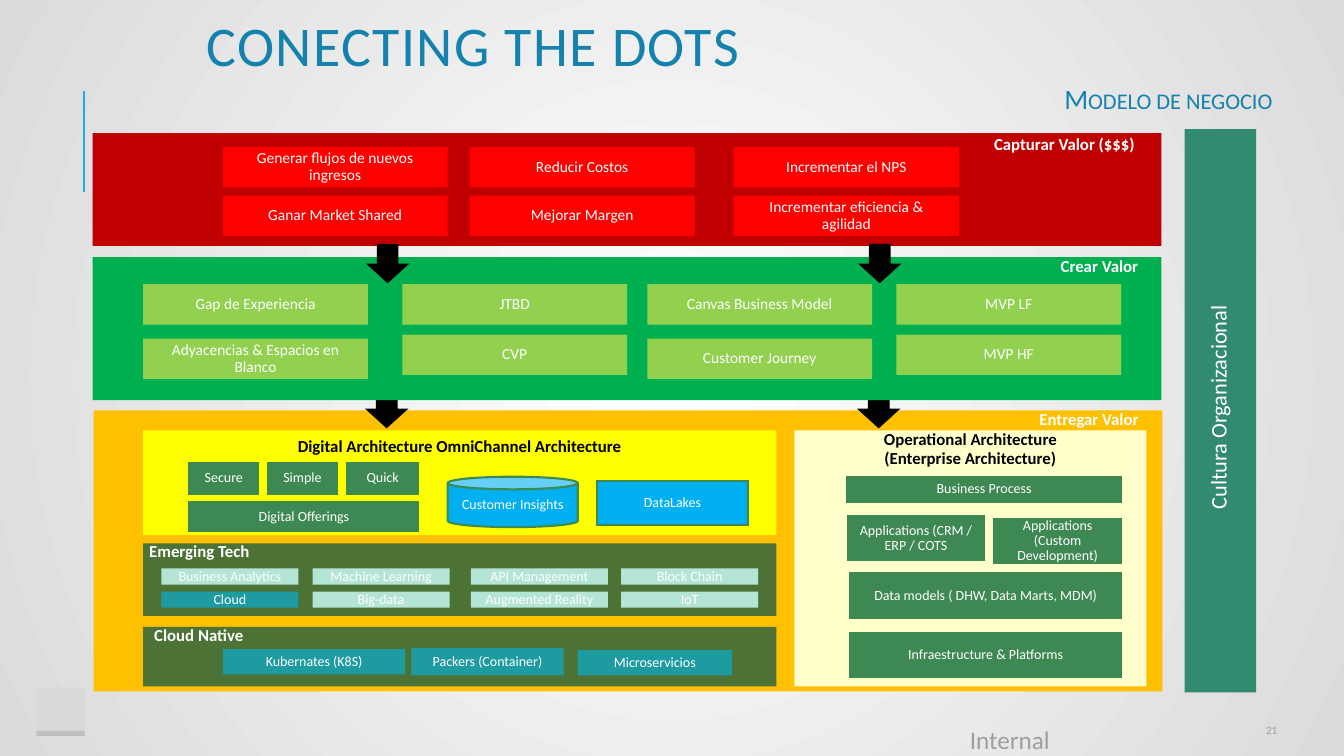
from lxml import etree
from pptx import Presentation
from pptx.dml.color import RGBColor
from pptx.enum.shapes import MSO_CONNECTOR, MSO_SHAPE
from pptx.enum.text import MSO_ANCHOR, PP_ALIGN
from pptx.oxml.ns import qn
from pptx.util import Inches, Pt

RECT, CAN, ARROW = MSO_SHAPE.RECTANGLE, MSO_SHAPE.CAN, MSO_SHAPE.RIGHT_ARROW
STRAIGHT = MSO_CONNECTOR.STRAIGHT
TOP, MIDDLE = MSO_ANCHOR.TOP, MSO_ANCHOR.MIDDLE
LEFT, CENTER, RIGHT = PP_ALIGN.LEFT, PP_ALIGN.CENTER, PP_ALIGN.RIGHT

COLUMNS, ROWS = 133.3, 75
FONT = "Calibri"
WHITE, BLACK, GRAY, BLUE = "FFFFFF", "000000", "9F9F9F", "1482AC"
RED, LIME, MINT, TEAL = "FF0000", "92D050", "B3E4D6", "1D9BA1"
GREEN, FOREST, SKY = "3E8853", "2F663E", "00B0F0"


def rgb(value):
    """Turn a hex string into a colour."""
    return RGBColor.from_string(value)


def write(frame, text, size=11, color=WHITE, bold=False, align=CENTER, anchor=MIDDLE,
          spacing=0.9, insets=(0.1, 0.05, 0.1, 0.05), wrap=True, **run_attributes):
    """Fill a text frame, one paragraph for each line of text."""
    frame.word_wrap = wrap
    frame.vertical_anchor = anchor
    (frame.margin_left, frame.margin_top,
     frame.margin_right, frame.margin_bottom) = map(Inches, insets)
    for index, line in enumerate(text.split("\n")):
        paragraph = frame.add_paragraph() if index else frame.paragraphs[0]
        paragraph.alignment = align
        paragraph.line_spacing = spacing
        run = paragraph.add_run()
        run.text = line
        run.font.name, run.font.size, run.font.bold = FONT, Pt(size), bold
        run.font.color.rgb = rgb(color)
        for key, value in run_attributes.items():
            run._r.get_or_add_rPr().set(key, value)


class Canvas:
    """Draws styled elements on the current slide, placed by grid columns and rows."""

    def __init__(self, deck):
        """Add a blank slide and set up its grid."""
        self.slide = deck.slides.add_slide(deck.slide_layouts[6])
        self.column = deck.slide_width / COLUMNS
        self.row = deck.slide_height / ROWS

    def place(self, *box):
        """Convert grid columns and rows to lengths."""
        return [round(n * unit) for n, unit in zip(box, (self.column, self.row) * 2)]

    def radial_background(self, inner, outer):
        """Paint the background with a gradient from the centre outwards."""
        fill = self.slide.background.fill
        fill.gradient()
        for stop, color in zip(fill.gradient_stops, (inner, outer)):
            stop.color.rgb = rgb(color)
        gradient = next(self.slide.element.iter(qn("a:gradFill")))
        for linear in gradient.findall(qn("a:lin")):
            gradient.remove(linear)
        circle = etree.SubElement(gradient, qn("a:path"), {"path": "circle"})
        etree.SubElement(circle, qn("a:fillToRect"), dict.fromkeys("ltrb", "50000"))

    def block(self, box, fill, text=None, kind=RECT, border=None, opacity=None,
              rotation=0, **text_format):
        """Draw a filled shape with optional text."""
        shape = self.slide.shapes.add_shape(kind, *self.place(*box))
        shape.shadow.inherit = False
        shape.rotation = rotation
        shape.fill.solid()
        shape.fill.fore_color.rgb = rgb(fill)
        if opacity:
            tint = shape._element.spPr.find(qn("a:solidFill"))[0]
            etree.SubElement(tint, qn("a:alpha"), {"val": str(opacity * 1000)})
        if border:
            shape.line.color.rgb = rgb(border)
            shape.line.width = Pt(1.5)
            outline = shape._element.spPr.find(qn("a:ln"))
            etree.SubElement(outline, qn("a:miter"), {"lim": "800000"})
        else:
            shape.line.fill.background()
        if text:
            write(shape.text_frame, text, **text_format)

    def text(self, box, text, rotation=0, **text_format):
        """Place free text."""
        textbox = self.slide.shapes.add_textbox(*self.place(*box))
        textbox.rotation = rotation
        write(textbox.text_frame, text, **text_format)

    def label(self, box, text, size=12, bold=True, rotation=0):
        """Place a one-line heading without margins."""
        self.text(box, text, rotation, size=size, bold=bold, align=LEFT,
                  anchor=TOP, insets=(0, 0, 0, 0), wrap=False)

    def rule(self, start, end, color):
        """Draw a thin straight line."""
        line = self.slide.shapes.add_connector(STRAIGHT, *self.place(*start, *end))
        line.line.color.rgb = rgb(color)
        line.line.width = Pt(1.5)
        etree.SubElement(line._element.spPr, qn("a:effectLst"))

    def down_arrows(self, lefts, top):
        """Draw the arrows that lead to the next band."""
        for left in lefts:
            self.block((left, top, 3.9, 4.3), BLACK, kind=ARROW, rotation=90)


def draw_frame(canvas):
    """Draw the background, margin marks and footer."""
    canvas.radial_background("FFFFFF", "DBDBDB")
    canvas.rule((8.3, 19), (8.3, 9), "1CADE4")
    canvas.block((3.6, 68.2, 4.8, 4.8), "D9D9D9")
    canvas.block((3.6, 72.5, 4.8, 0.5), "BFBFBF")
    canvas.text((95.2, 71.4, 27.3, 2), "Internal", size=18, color=GRAY,
                align=LEFT, anchor=TOP, spacing=1)
    canvas.text((122.5, 71.4, 4.2, 2), "21", size=8, color=GRAY, align=RIGHT,
                spacing=1, insets=(0, 0, 0, 0), wrap=False)


def draw_capture(canvas):
    """Draw the red band of value capture."""
    canvas.block((9.2, 13.2, 106, 11.2), "C00000")
    goals = ((22.1, "Generar flujos de nuevos ingresos", "Ganar Market Shared"),
             (46.6, "Reducir Costos", "Mejorar Margen"),
             (72.8, "Incrementar el NPS", "Incrementar eficiencia & agilidad"))
    for left, *names in goals:
        for row, name in enumerate(names):
            canvas.block((left, 14.6 + 4.8 * row, 22.3, 4), RED, name)
    canvas.label((98.6, 13.5, 15, 3.1), "Capturar Valor ($$$)")


def draw_operations(canvas):
    """Draw the operational architecture panel."""
    canvas.block((78.8, 42.7, 34.9, 25.4), "FFFFCC",
                 "Operational Architecture\n(Enterprise Architecture)", size=12,
                 color=BLACK, bold=True, anchor=TOP, insets=(0.1, 0.01, 0.1, 0))
    layers = (((84, 47.3, 27.2, 2.5), "Business Process"),
              ((84.1, 51.2, 13.5, 4.4), "Applications (CRM / ERP / COTS"),
              ((98.6, 51.5, 12.6, 4.4), "Applications (Custom Development)"),
              ((84.3, 56.9, 26.9, 4.4), "Data models ( DHW, Data Marts, MDM)"),
              ((84.3, 62.8, 26.9, 4.4), "Infraestructure & Platforms"))
    for box, name in layers:
        canvas.block(box, GREEN, name, border=GREEN, size=10)


def draw_digital(canvas):
    """Draw the digital architecture, emerging tech and cloud native panels."""
    canvas.block((14.2, 42.7, 62.8, 10.4), "FFFF00",
                 "Digital Architecture OmniChannel Architecture", size=12,
                 color=BLACK, bold=True, anchor=TOP, insets=(0.1, 0.08, 0.1, 0))
    offerings = (((18.8, 49.8, 22.7, 2.9), "Digital Offerings"),
                 ((18.8, 45.9, 6.8, 3.1), "Secure"),
                 ((26.6, 45.9, 6.8, 3.1), "Simple"),
                 ((34.4, 45.9, 7.1, 3.1), "Quick"))
    for box, name in offerings:
        canvas.block(box, GREEN, name, border=GREEN, size=10)
    canvas.block((44.4, 47.3, 12.9, 5), SKY, "Customer Insights", CAN, GREEN, size=10)
    canvas.block((59.2, 47.7, 15, 4.4), SKY, "DataLakes", border=GREEN, size=10)

    canvas.block((14.2, 53.9, 62.8, 7.2), FOREST, opacity=86)
    canvas.label((14.8, 53.9, 12, 2), "Emerging Tech")
    emerging = ((16, "Business Analytics", "Cloud"),
                (31, "Machine Learning", "Big-data"),
                (46.7, "API Management", "Augmented Reality"),
                (61.6, "Block Chain", "IoT"))
    for left, *names in emerging:
        for row, name in enumerate(names):
            canvas.block((left, 56.4 + 2.3 * row, 13.6, 1.6),
                         TEAL if name == "Cloud" else MINT, name, size=10)

    canvas.block((14.2, 62.2, 62.8, 5.9), FOREST, opacity=86)
    canvas.label((15.3, 62.2, 12, 2), "Cloud Native")
    native = (((22.1, 64.4, 18.1, 2.5), "Kubernates (K8S)"),
              ((40.8, 64.3, 15.1, 2.7), "Packers (Container)"),
              ((57.3, 64.5, 15.3, 2.5), "Microservicios"))
    for box, name in native:
        canvas.block(box, TEAL, name, size=10)


def draw_create(canvas):
    """Draw the green band of value creation."""
    canvas.block((9.2, 25.5, 106, 14.2), "00B050")
    methods = ((14.2, 33.6, "Gap de Experiencia", "Adyacencias & Espacios en Blanco"),
               (39.9, 33.2, "JTBD", "CVP"),
               (64.2, 33.6, "Canvas Business Model", "Customer Journey"),
               (88.9, 33.2, "MVP LF", "MVP HF"))
    for left, lower, *names in methods:
        for top, name in zip((28.2, lower), names):
            canvas.block((left, top, 22.3, 4), LIME, name)
    canvas.label((105.2, 25.6, 10, 2.1), "Crear Valor")
    canvas.down_arrows((36.5, 85.3), 24)


def main():
    """Build and save the slide."""
    deck = Presentation()
    deck.slide_width, deck.slide_height = Inches(13.33), Inches(7.5)
    canvas = Canvas(deck)
    draw_frame(canvas)
    canvas.block((9.3, 40.7, 106, 27.9), "FFC000")
    canvas.label((103.1, 40.8, 11, 2.1), "Entregar Valor")
    canvas.down_arrows((36.4, 85.2), 38.4)
    draw_capture(canvas)
    draw_operations(canvas)
    draw_digital(canvas)
    draw_create(canvas)
    canvas.block((117.5, 12.8, 7.1, 55.9), "328B71")
    canvas.label((109.8, 38.5, 22, 2.1), "Cultura Organizacional", 16, False, 270)
    canvas.text((19.5, 8.4, 107.2, 3.1), "Modelo de negocio", size=20, color=BLUE,
                align=RIGHT, insets=(0.05, 0.05, 0.05, 0.05), cap="small")
    canvas.text((19.5, 1.6, 107.2, 6.8), "CONECTING THE DOTS", size=40, color=BLUE,
                align=LEFT, spacing=0.8, spc="100")
    deck.save("out.pptx")


if __name__ == "__main__":
    main()
